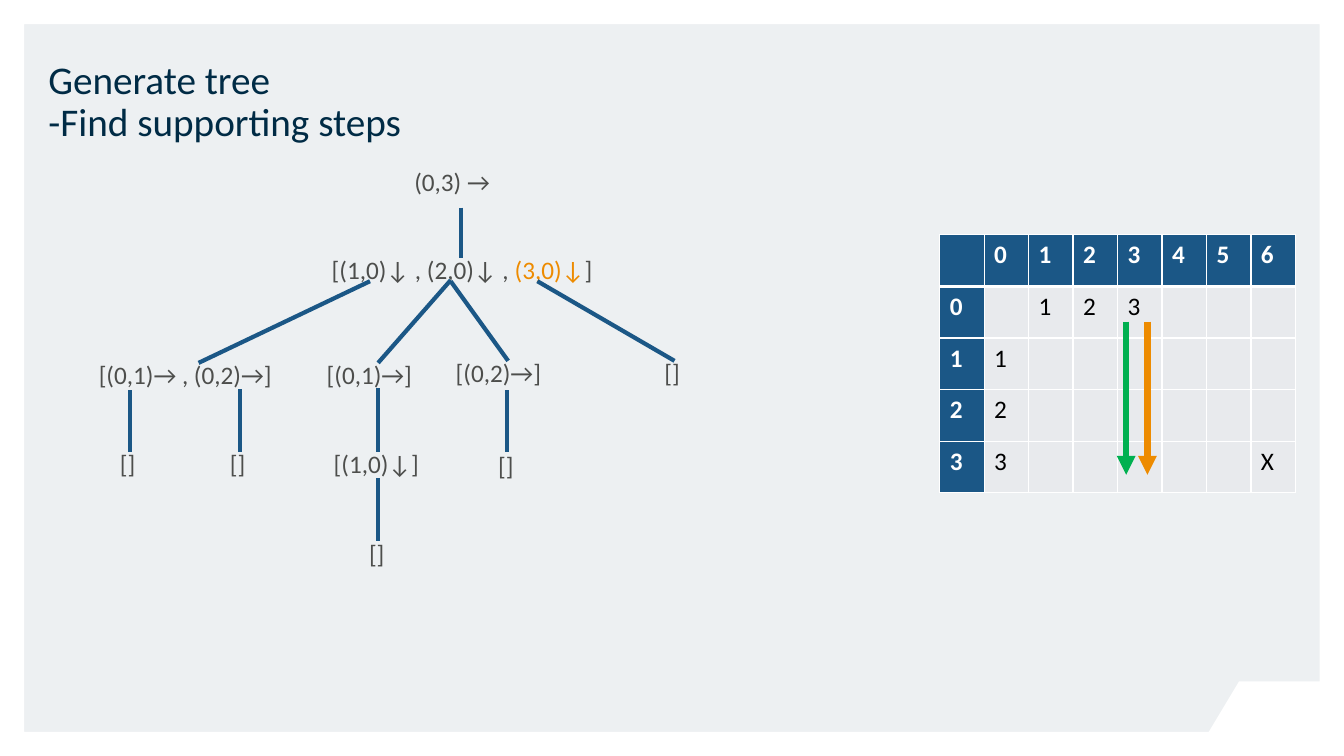
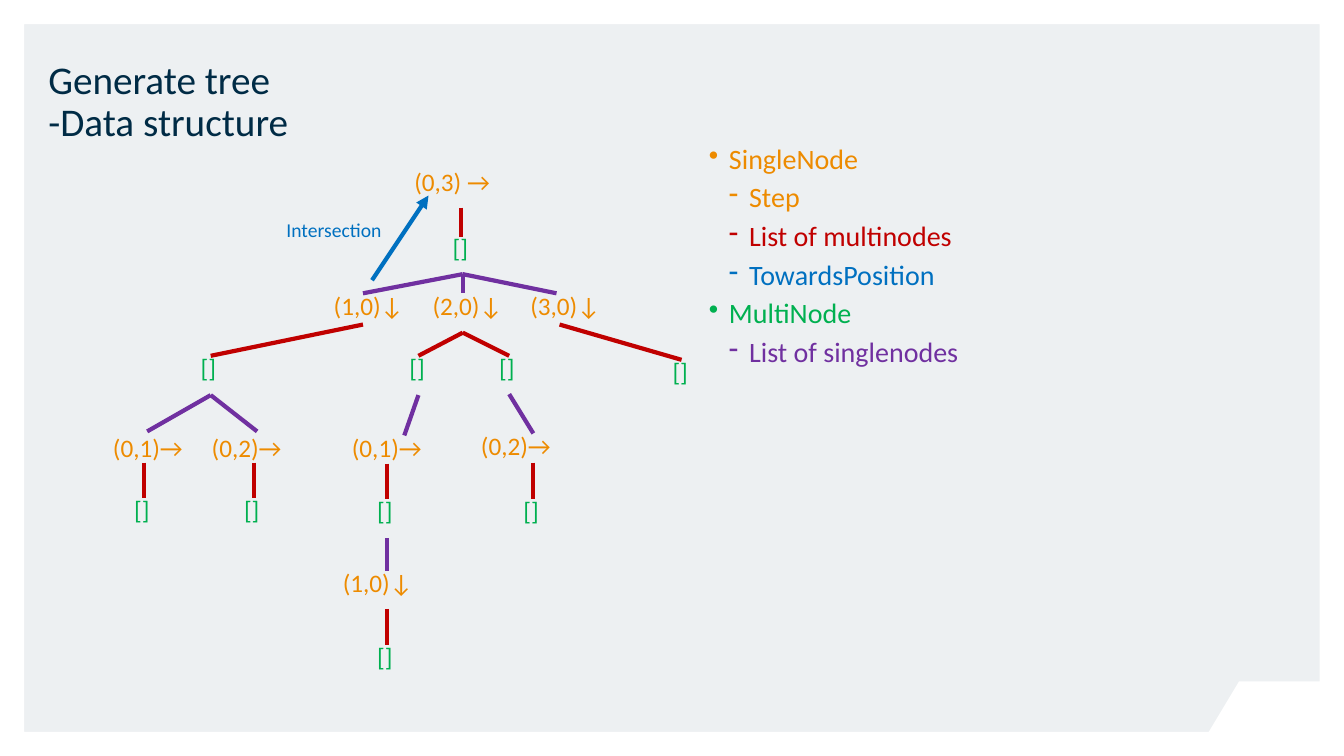
from pptx import Presentation
from pptx.dml.color import RGBColor
from pptx.enum.shapes import MSO_CONNECTOR as Connector
from pptx.enum.text import MSO_ANCHOR as Anchor
from pptx.oxml.ns import qn
from pptx.util import Inches, Pt
from lxml.etree import SubElement

COLORS = {
    "background": "EDF0F2", "white": "FFFFFF", "black": "000000",
    "title": "002B45", "text": "4D4E4C", "navy": "1B5786", "cell": "E8EAED",
    "orange": "ED8B00", "green": "00B050", "red": "C00000",
    "purple": "7030A0", "blue": "0070C0",
}
FONT = "Calibri"
WIDTH, HEIGHT = 13.33, 7.5
PANEL = [(0.24, 0.24), (0.24, 7.26), (11.99, 7.26), (12.29, 6.76),
         (13.09, 6.76), (13.09, 0.24)]
PAGE = [(0, 0), (WIDTH, 0), (WIDTH, HEIGHT), (0, HEIGHT)]


def rgb(color):
    return RGBColor.from_string(COLORS[color])


class Deck:
    def __init__(self):
        self.presentation = Presentation()
        self.presentation.slide_width = Inches(WIDTH)
        self.presentation.slide_height = Inches(HEIGHT)
        self.slide = None

    def new_slide(self, *title_lines):
        self.slide = self.presentation.slides.add_slide(
            self.presentation.slide_layouts[6])
        fill = self.slide.background.fill
        fill.solid()
        fill.fore_color.rgb = rgb("background")
        self.frame()
        title = self.text_frame(0.48, 0.59, 12.36, 0.85)
        title.vertical_anchor = Anchor.BOTTOM
        paragraph = title.paragraphs[0]
        paragraph.line_spacing = 0.9
        for index, line in enumerate(title_lines):
            if index:
                paragraph.add_line_break()
            self.run(paragraph, line, 28, "title")

    def frame(self):
        """White border around the panel, with a notch at the lower right."""
        builder = self.slide.shapes.build_freeform(
            *map(Inches, PANEL[0]), scale=1.0)
        for outline in (PANEL, PAGE):
            points = [(Inches(x), Inches(y)) for x, y in outline]
            if outline is PAGE:
                builder.move_to(*points[0])
            builder.add_line_segments(points[1:], close=True)
        shape = builder.convert_to_shape()
        shape.shadow.inherit = False
        shape.fill.solid()
        shape.fill.fore_color.rgb = rgb("white")
        shape.line.fill.background()

    def text_frame(self, left, top, width, height):
        box = self.slide.shapes.add_textbox(
            *map(Inches, (left, top, width, height)))
        frame = box.text_frame
        frame.word_wrap = True
        frame.margin_left = frame.margin_right = 0
        frame.margin_top = frame.margin_bottom = 0
        return frame

    def run(self, paragraph, text, size, color, bold=False):
        run = paragraph.add_run()
        run.text = text
        run.font.name = FONT
        run.font.size = Pt(size)
        run.font.bold = bold
        run.font.color.rgb = rgb(color)

    def label(self, left, top, *runs, width=1.04, size=18):
        """Place one line of text, given as (text, color) runs."""
        paragraph = self.text_frame(left, top, width, 0.38).paragraphs[0]
        paragraph.line_spacing = 0.9
        for text, color in runs:
            self.run(paragraph, text, size, color)

    def empty_lists(self, color, *places):
        for left, top in places:
            self.label(left, top, ("[]", color), width=0.19)

    def line(self, start, end, color, width=3, arrow=False):
        connector = self.slide.shapes.add_connector(
            Connector.STRAIGHT, *map(Inches, (*start, *end)))
        connector.line.color.rgb = rgb(color)
        connector.line.width = Pt(width)
        properties = connector.element.spPr
        if arrow:
            SubElement(properties.find(qn("a:ln")), qn("a:tailEnd"), type="triangle")
        SubElement(properties, qn("a:effectLst"))

    def branches(self, color, *pairs):
        for start, end in pairs:
            self.line(start, end, color)

    def bullets(self, left, top, width, height, items):
        """List (level, text, color) items."""
        frame = self.text_frame(left, top, width, height)
        for index, (level, text, color) in enumerate(items):
            paragraph = frame.add_paragraph() if index else frame.paragraphs[0]
            properties = paragraph._p.get_or_add_pPr()
            properties.set("marL", str(Inches(0.2 * (level + 1))))
            properties.set("indent", str(Inches(-0.2)))
            SubElement(properties, qn("a:buChar"), char="•-"[level])
            paragraph.level = level
            paragraph.line_spacing = 0.9
            paragraph.space_before = Pt(3 if index else 0)
            paragraph.space_after = Pt(3)
            self.run(paragraph, text, 20, color)

    def borders(self, cell, row):
        properties = cell._tc.get_or_add_tcPr()
        heavy = {0: "B", 1: "T"}.get(row)
        for side in "LRTB":
            width = Pt(3 if side == heavy else 1)
            border = SubElement(properties, qn(f"a:ln{side}"), w=str(width))
            fill = SubElement(border, qn("a:solidFill"))
            SubElement(fill, qn("a:srgbClr"), val=COLORS["white"])

    def grid(self, left, top, width, height, rows):
        """Table whose first row and first column are headers."""
        table = self.slide.shapes.add_table(
            len(rows), len(rows[0]),
            *map(Inches, (left, top, width, height))).table
        for column in table.columns:
            column.width = Inches(width / len(rows[0]))
        for row_index, texts in enumerate(rows):
            table.rows[row_index].height = Inches(height / len(rows))
            for column_index, text in enumerate(texts):
                cell = table.cell(row_index, column_index)
                header = row_index == 0 or column_index == 0
                self.borders(cell, row_index)
                cell.fill.solid()
                cell.fill.fore_color.rgb = rgb("navy" if header else "cell")
                if text.strip():
                    self.run(cell.text_frame.paragraphs[0], text, 18,
                             "white" if header else "black", bold=header)


def supporting_steps(deck):
    deck.new_slide("Generate tree", "-Find supporting steps")
    deck.grid(9.32, 2.33, 3.53, 2.56,
              [" 0123456", "0 123   ", "11      ", "22      ", "33     X"])
    deck.label(4.11, 1.68, ("(0,3) →", "text"))
    deck.label(3.29, 2.56, ("[(1,0)↓ , (2,0)↓ , ", "text"),
               ("(3,0)↓", "orange"), ("]", "text"), width=2.8)
    deck.label(0.98, 3.6, ("[(0,1)→ , (0,2)→]", "text"), width=1.97)
    for left, top, text in [(3.24, 3.6, "[(0,1)→]"), (4.52, 3.58, "[(0,2)→]"),
                            (3.31, 4.48, "[(1,0)↓]")]:
        deck.label(left, top, (text, "text"))
    deck.empty_lists("text", (6.59, 3.58), (1.19, 4.48), (2.28, 4.48),
                     (4.94, 4.5), (3.66, 5.37))
    deck.branches("navy",
                  ((4.57, 2.06), (4.57, 2.56)), ((3.67, 2.79), (1.97, 3.6)),
                  ((4.47, 2.78), (3.75, 3.6)), ((4.47, 2.79), (5.04, 3.58)),
                  ((5.33, 2.79), (6.69, 3.58)), ((3.75, 3.85), (3.75, 4.48)),
                  ((5.03, 3.87), (5.03, 4.48)), ((2.38, 3.86), (2.38, 4.48)),
                  ((1.29, 3.87), (1.29, 4.48)), ((3.75, 4.74), (3.75, 5.37)))
    for x, color in [(11.38, "orange"), (11.17, "green")]:
        deck.line((x, 3.19), (x, 4.71), color, width=4.5, arrow=True)


def data_structure(deck):
    deck.new_slide("Generate tree", "-Data structure")
    for left, top, text in [
            (4.11, 1.68, "(0,3) →"),
            (3.31, 2.91, "(1,0)↓"), (4.29, 2.91, "(2,0)↓"), (5.26, 2.91, "(3,0)↓"),
            (1.12, 4.32, "(0,1)→"), (2.1, 4.32, "(0,2)→"),
            (3.49, 4.32, "(0,1)→"), (4.77, 4.3, "(0,2)→"),
            (3.4, 5.66, "(1,0)↓")]:
        deck.label(left, top, (text, "orange"))
    deck.empty_lists("green", (4.49, 2.34), (1.99, 3.53), (4.06, 3.53),
                     (4.95, 3.53), (6.67, 3.57), (1.33, 4.94), (2.42, 4.94),
                     (3.74, 4.95), (5.19, 4.95), (3.74, 6.4))
    deck.branches("red",
                  ((4.57, 2.06), (4.57, 2.35)), ((3.6, 3.22), (2.09, 3.53)),
                  ((4.59, 3.3), (4.15, 3.53)), ((4.59, 3.3), (5.05, 3.53)),
                  ((5.55, 3.22), (6.76, 3.57)), ((1.43, 4.59), (1.43, 4.94)),
                  ((2.52, 4.59), (2.52, 4.94)), ((3.84, 4.6), (3.84, 4.95)),
                  ((5.29, 4.59), (5.29, 4.95)), ((3.84, 6.04), (3.84, 6.4)))
    deck.branches("purple",
                  ((4.59, 2.72), (3.6, 2.91)), ((4.59, 2.72), (4.59, 2.91)),
                  ((4.59, 2.72), (5.52, 2.91)), ((2.09, 3.92), (1.46, 4.28)),
                  ((2.09, 3.92), (2.55, 4.28)), ((4.15, 3.92), (4.01, 4.32)),
                  ((5.05, 3.91), (5.29, 4.3)), ((3.84, 5.34), (3.84, 5.66)))
    deck.label(2.84, 2.19, ("Intersection", "blue"), width=1.22, size=14)
    deck.line((3.69, 2.78), (4.25, 1.94), "blue", arrow=True)
    deck.bullets(7.03, 1.44, 5.82, 5.84, [
        (0, "SingleNode", "orange"),
        (1, "Step", "orange"),
        (1, "List of multinodes", "red"),
        (1, "TowardsPosition", "blue"),
        (0, "MultiNode", "green"),
        (1, "List of singlenodes", "purple")])


def main():
    deck = Deck()
    supporting_steps(deck)
    data_structure(deck)
    deck.presentation.save("out.pptx")


if __name__ == "__main__":
    main()
